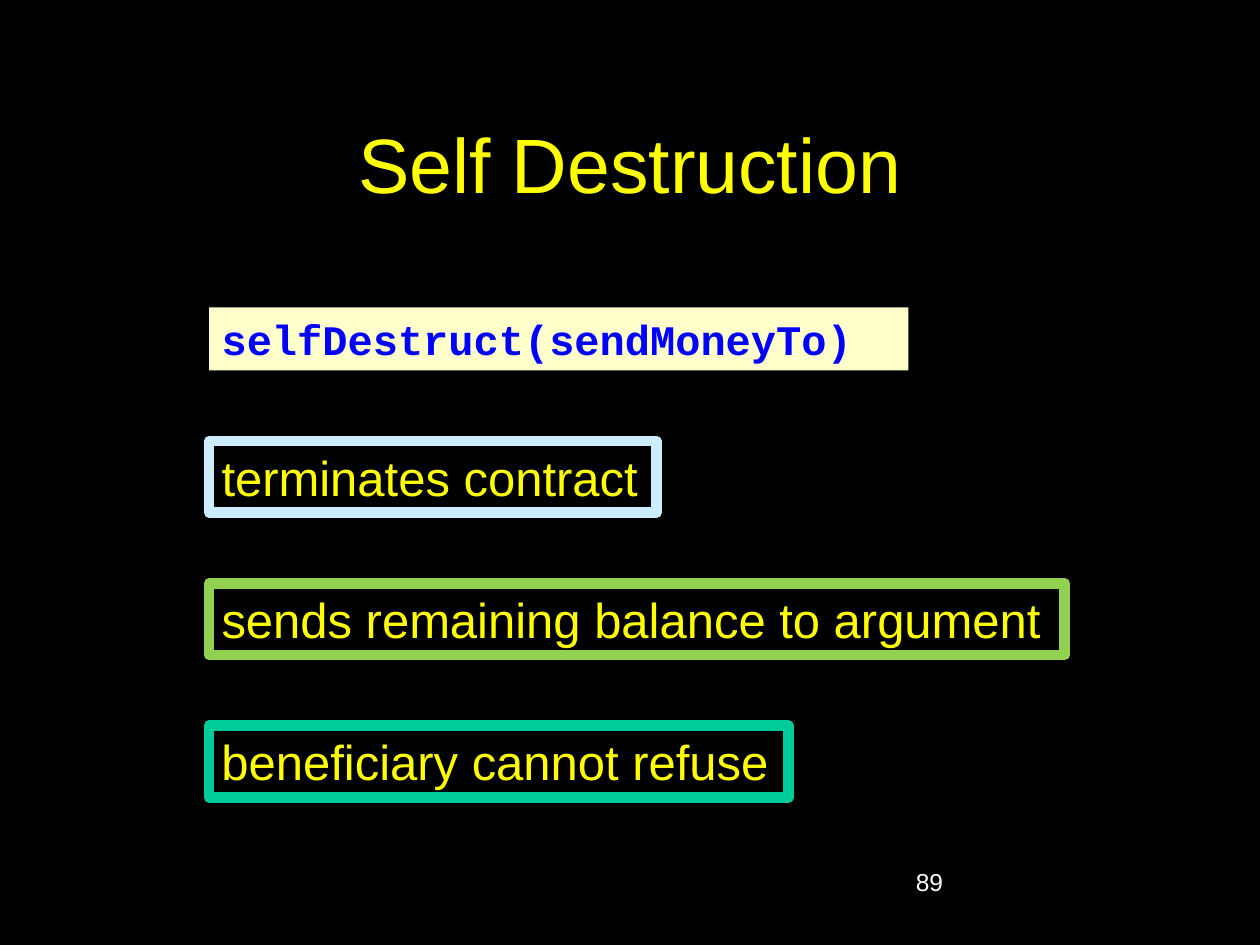
"""Build the Self Destruction slide."""
from dataclasses import dataclass
from typing import Optional

from pptx import Presentation
from pptx.dml.color import RGBColor as RGB
from pptx.enum.shapes import MSO_SHAPE as SHAPE
from pptx.enum.text import MSO_ANCHOR as ANCHOR, PP_ALIGN as ALIGN
from pptx.util import Inches, Pt


@dataclass(frozen=True)
class Theme:
    """Colours, fonts and type sizes of the slide."""
    black: str = "000000"
    white: str = "FFFFFF"
    yellow: str = "FFFF00"
    cream: str = "FFFFCC"
    blue: str = "0000FF"
    pale_blue: str = "CCECFF"
    lime: str = "92D050"
    teal: str = "00CC99"
    body_font: str = "Arial"
    code_font: str = "Courier New"
    title_size: int = 44
    point_size: int = 28
    code_size: int = 24
    number_size: int = 14
    border: int = 6


THEME = Theme()
LEFT = 1.66
POINT_TOP, POINT_STEP, POINT_HEIGHT = 3.5, 1.13, 0.57


@dataclass(frozen=True)
class Style:
    """Type style of a paragraph."""
    size: int
    color: str
    font: str = THEME.body_font
    bold: bool = False


@dataclass(frozen=True)
class Box:
    """A filled rectangle with one line of text."""
    text: str
    top: float
    width: float
    height: float
    fill: str
    style: Style
    line: Optional[str] = None


def write(shape, text: str, style: Style, align=ALIGN.LEFT, anchor=ANCHOR.TOP) -> None:
    """Put one styled paragraph into a shape."""
    tf = shape.text_frame
    tf.word_wrap = True
    tf.vertical_anchor = anchor
    p = tf.paragraphs[0]
    p.text = text
    p.alignment = align
    p.font.name = style.font
    p.font.size = Pt(style.size)
    p.font.bold = style.bold
    p.font.color.rgb = RGB.from_string(style.color)


def add_box(s, box: Box) -> None:
    """Draw a box at the common left edge."""
    sp = s.shapes.add_shape(SHAPE.RECTANGLE, Inches(LEFT), Inches(box.top),
                            Inches(box.width), Inches(box.height))
    sp.shadow.inherit = False
    sp.fill.solid()
    sp.fill.fore_color.rgb = RGB.from_string(box.fill)
    if box.line:
        sp.line.color.rgb = RGB.from_string(box.line)
        sp.line.width = Pt(THEME.border)
    else:
        sp.line.fill.background()
    write(sp, box.text, box.style, anchor=ANCHOR.TOP if box.line else ANCHOR.MIDDLE)


def main() -> None:
    """Build and save the slide."""
    prs = Presentation()
    prs.slide_width, prs.slide_height = Inches(10), Inches(7.5)
    s = prs.slides.add_slide(prs.slide_layouts[5])
    s.background.fill.solid()
    s.background.fill.fore_color.rgb = RGB.from_string(THEME.black)

    title = s.shapes.title
    title.left, title.top = Inches(0.75), Inches(0.67)
    title.width, title.height = Inches(8.5), Inches(1.25)
    write(title, "Self Destruction", Style(THEME.title_size, THEME.yellow),
          ALIGN.CENTER, ANCHOR.MIDDLE)

    number = s.shapes.add_textbox(Inches(7.17), Inches(6.83), Inches(2.08), Inches(0.5))
    write(number, "89", Style(THEME.number_size, THEME.white))

    code = Style(THEME.code_size, THEME.blue, THEME.code_font, bold=True)
    add_box(s, Box("selfDestruct(sendMoneyTo)", 2.44, 5.55, 0.5, THEME.cream, code))

    points = (
        ("terminates contract", 3.55, THEME.pale_blue),
        ("sends remaining balance to argument", 6.79, THEME.lime),
        ("beneficiary cannot refuse", 4.6, THEME.teal),
    )
    point = Style(THEME.point_size, THEME.yellow)
    for i, (text, width, line) in enumerate(points):
        add_box(s, Box(text, POINT_TOP + i * POINT_STEP, width, POINT_HEIGHT,
                       THEME.black, point, line))

    prs.save("out.pptx")


if __name__ == "__main__":
    main()
